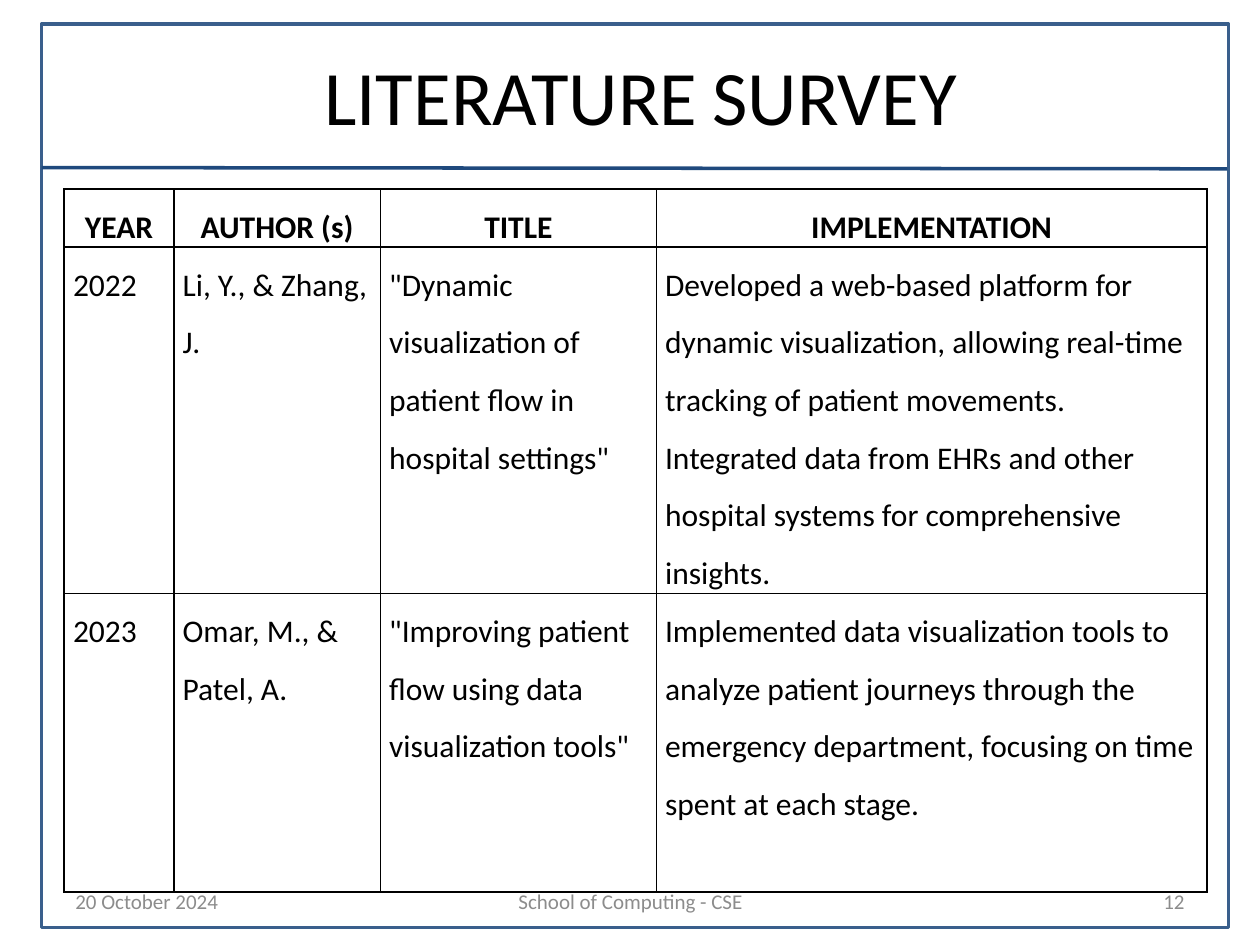
import pptx
import pptx.util
import pptx.dml.color
import pptx.enum.shapes
import pptx.enum.text
import pptx.oxml
import pptx.oxml.ns
from lxml import etree

Inches = pptx.util.Inches
Pt = pptx.util.Pt
ALIGN = pptx.enum.text.PP_ALIGN
MIDDLE = pptx.enum.text.MSO_ANCHOR.MIDDLE

# Content
TITLE = [("LITERATURE", 44), (" ", 36), ("SURVEY", 44)]
FOOTERS = [  # text, left, width, alignment
    ("20 October 2024", 0.5, 2.33, ALIGN.LEFT),
    ("School of Computing - CSE", 3.42, 3.17, ALIGN.CENTER),
    ("12", 7.17, 2.33, ALIGN.RIGHT),
]
SURVEY = [
    ("YEAR", "AUTHOR (s)", "TITLE", "IMPLEMENTATION"),
    ("2022", "Li, Y., & Zhang, J.",
     '"Dynamic visualization of patient flow in hospital settings"',
     "Developed a web-based platform for dynamic visualization, allowing "
     "real-time tracking of patient movements. Integrated data from EHRs and "
     "other hospital systems for comprehensive insights."),
    ("2023", "Omar, M., & Patel, A.",
     '"Improving patient flow using data visualization tools"',
     "Implemented data visualization tools to analyze patient journeys through "
     "the emergency department, focusing on time spent at each stage."),
]
COLUMN_WIDTHS = [0.87, 1.64, 2.19, 4.37]
ROW_HEIGHTS = [0.46, 2.75, 2.37]  # tall enough for 1, 6 and 4 lines of text
COLORS = {"frame": "3A5F8C", "rule": "1F497D", "text": "000000", "footer": "8C8C8C"}
FONT = "Calibri"


def rgb(name):
    return pptx.dml.color.RGBColor.from_string(COLORS[name])


def style(span, size, color, bold=False):
    span.font.name = FONT
    span.font.size = Pt(size)
    span.font.bold = bold
    span.font.color.rgb = rgb(color)


def add_text_box(page, left, top, width, height, align):
    box = page.shapes.add_textbox(Inches(left), Inches(top), Inches(width), Inches(height))
    box.text_frame.word_wrap = True
    box.text_frame.vertical_anchor = MIDDLE
    para = box.text_frame.paragraphs[0]
    para.alignment = align
    return para


def add_borders(cell):
    properties = cell._tc.get_or_add_tcPr()
    for index, side in enumerate(("lnL", "lnR", "lnT", "lnB")):
        border = pptx.oxml.parse_xml(
            f'<a:{side} {pptx.oxml.ns.nsdecls("a")} w="{Pt(1)}"><a:solidFill>'
            f'<a:srgbClr val="{COLORS["text"]}"/></a:solidFill></a:{side}>')
        properties.insert(index, border)


deck = pptx.Presentation()
deck.slide_width, deck.slide_height = Inches(10), Inches(7.5)
page = deck.slides.add_slide(deck.slide_layouts[6])

# Page frame and the rule under the title
frame = page.shapes.add_shape(pptx.enum.shapes.MSO_SHAPE.RECTANGLE,
                              Inches(0.33), Inches(0.19), Inches(9.42), Inches(7.17))
frame.shadow.inherit = False
frame.fill.background()
frame.line.color.rgb = rgb("frame")
frame.line.width = Pt(2)

rule = page.shapes.add_connector(pptx.enum.shapes.MSO_CONNECTOR.STRAIGHT,
                                 Inches(0.33), Inches(1.33), Inches(9.74), Inches(1.34))
rule.line.color.rgb = rgb("rule")
rule.line.width = Pt(2)
etree.SubElement(rule._element.spPr, pptx.oxml.ns.qn("a:effectLst"))

# Title
para = add_text_box(page, 0.5, 0.17, 9.17, 1.17, ALIGN.CENTER)
for text, size in TITLE:
    span = para.add_run()
    span.text = text
    style(span, size, "text")

# Footer
for text, left, width, align in FOOTERS:
    para = add_text_box(page, left, 6.95, width, 0.4, align)
    para.text = text
    style(para.runs[0], 12, "footer")

# Survey table
table = page.shapes.add_table(len(SURVEY), len(COLUMN_WIDTHS), Inches(0.51), Inches(1.5),
                              Inches(sum(COLUMN_WIDTHS)), Inches(sum(ROW_HEIGHTS))).table
table.first_row = table.horz_banding = False
for column, width in zip(table.columns, COLUMN_WIDTHS):
    column.width = Inches(width)
for row, height, texts in zip(table.rows, ROW_HEIGHTS, SURVEY):
    row.height = Inches(height)
    header = texts is SURVEY[0]
    for cell, text in zip(row.cells, texts):
        cell.fill.background()
        add_borders(cell)
        cell.margin_left = cell.margin_right = Inches(0.07)
        cell.margin_top = cell.margin_bottom = 0
        cell.text_frame.text = text
        para = cell.text_frame.paragraphs[0]
        para.line_spacing = 1.5
        para.alignment = ALIGN.CENTER if header else ALIGN.LEFT
        style(para.runs[0], 18, "text", bold=header)

deck.save("out.pptx")
